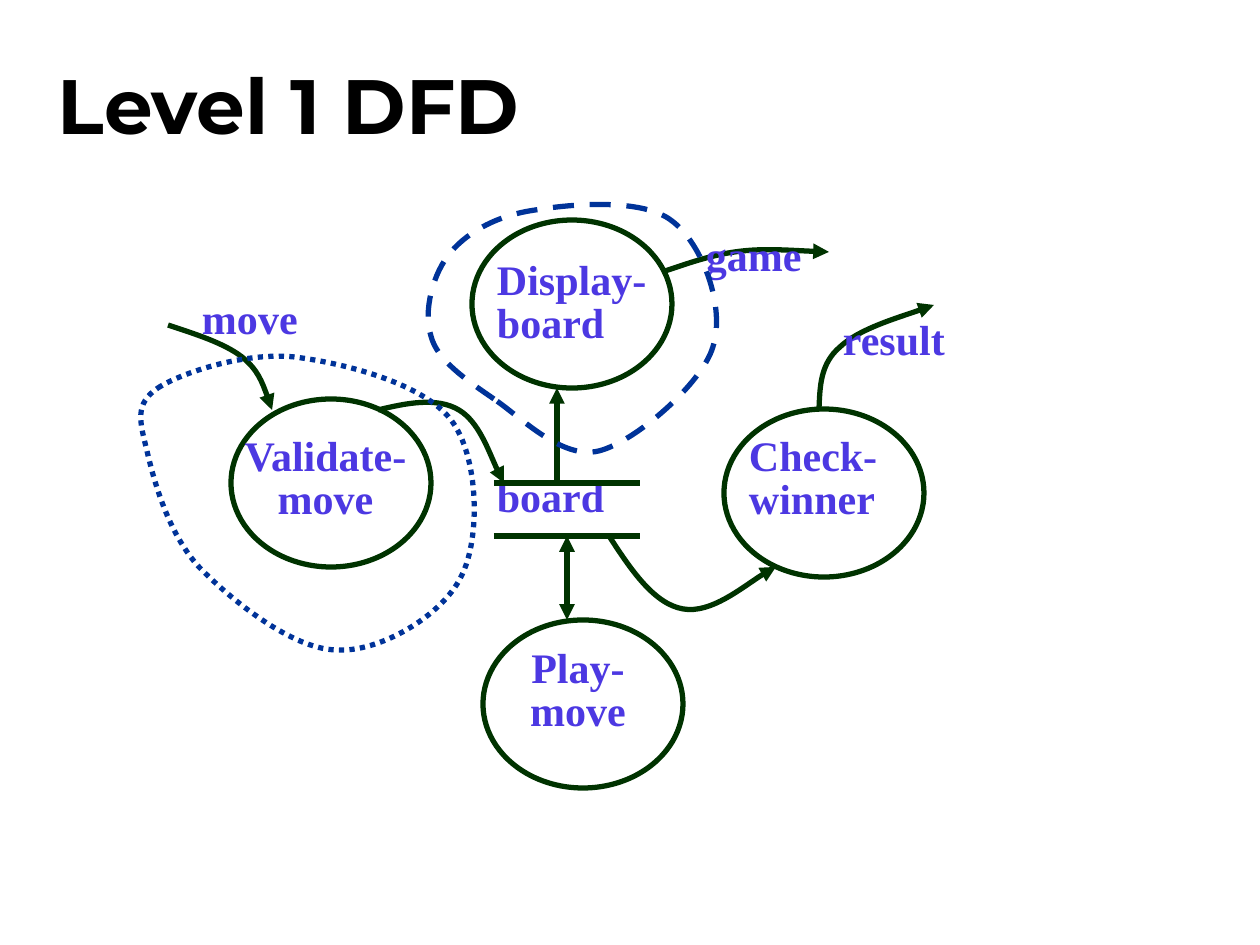
import lxml.etree
import pptx
import pptx.dml.color
import pptx.enum.dml
import pptx.enum.shapes
import pptx.enum.text
import pptx.oxml.ns
import pptx.util

EMU_PER_PX = 914400 / 126
COLORS = {"title": "000000", "flow": "003300", "label": "4C38E2", "boundary": "003399"}
LEFT = pptx.enum.text.PP_ALIGN.LEFT
CENTER = pptx.enum.text.PP_ALIGN.CENTER
DASHES = pptx.enum.dml.MSO_LINE

PROCESS_SIZE = (200, 168)
PROCESS_CORNERS = [(472, 220), (483, 620), (231, 399), (724, 409)]

STORE_LEFT, STORE_RIGHT = 494, 640
STORE_TOP, STORE_BOTTOM = 483, 536

LABELS = [
    ("board", (494, 472, 136, 63), LEFT),
    ("Display-board", (494, 255, 168, 113), LEFT),
    ("Check-winner", (746, 431, 168, 113), LEFT),
    ("Validate-move", (231, 431, 189, 113), CENTER),
    ("Play-move", (494, 643, 168, 113), CENTER),
    ("move", (199, 294, 146, 63), LEFT),
    ("result", (840, 315, 146, 63), LEFT),
    ("game", (703, 231, 189, 63), LEFT),
]

# Each curve is a start point, then two control points and an end point per segment.
FLOWS = [
    [(609, 536), (631, 570), (654, 604), (683, 609), (711, 614), (761, 573), (776, 567)],
    [(378, 410), (407, 403), (437, 397), (459, 410), (479, 422), (496, 470), (504, 483)],
    [(168, 325), (195, 334), (224, 343), (242, 357), (258, 370), (266, 391), (272, 410)],
    [(819, 410), (820, 387), (820, 364), (840, 347), (859, 329), (919, 311), (934, 305)],
    [(662, 272), (684, 265), (707, 256), (735, 252), (762, 248), (796, 251), (829, 252)],
]
INPUT_BOUNDARY = [
    (158, 388), (181, 373), (244, 352), (294, 357), (343, 363), (423, 383), (451, 420),
    (479, 456), (481, 539), (461, 577), (442, 616), (379, 653), (336, 650),
    (292, 649), (231, 600), (199, 567), (168, 533), (154, 481), (147, 451),
    (140, 422), (134, 404), (158, 388),
]
OUTPUT_BOUNDARY = [
    (494, 399), (465, 379), (437, 360), (431, 336), (423, 311), (433, 273), (451, 252),
    (469, 231), (499, 215), (536, 210), (572, 204), (643, 198), (672, 221),
    (702, 243), (726, 307), (713, 347), (702, 384), (635, 442), (599, 451),
    (562, 460), (522, 418), (494, 399),
]


def px(length):
    return pptx.util.Emu(round(length * EMU_PER_PX))


def rgb(name):
    return pptx.dml.color.RGBColor.from_string(COLORS[name])


def add_child(parent, tag, **attributes):
    return lxml.etree.SubElement(parent, pptx.oxml.ns.qn(tag), attributes)


def style_line(shape, color="flow", dash=None, ends=()):
    shape.line.color.rgb = rgb(color)
    shape.line.width = pptx.util.Pt(3)
    if dash is not None:
        shape.line.dash_style = dash
    for end in ends:
        add_child(shape.get_or_add_ln(), end, type="triangle")


def format_text(shape, text, size, font, color, space, align=LEFT):
    frame = shape.text_frame
    frame.text = text
    frame.word_wrap = True
    frame.margin_left = frame.margin_right = px(3)
    frame.margin_top = frame.margin_bottom = px(6)
    para = frame.paragraphs[0]
    para.alignment = align
    para.line_spacing = 0.85
    para.space_before = pptx.util.Pt(space)
    span = para.runs[0]
    span.font.name = font
    span.font.size = pptx.util.Pt(size)
    span.font.bold = True
    span.font.color.rgb = rgb(color)


def add_title(page):
    title = page.shapes.title
    title.left, title.top, title.width, title.height = map(px, (55, 32, 1071, 158))
    format_text(title, "Level 1 DFD", 44, "Montserrat", "title", 10)
    title.text_frame.vertical_anchor = pptx.enum.text.MSO_ANCHOR.MIDDLE


def add_process(page, corner):
    oval = pptx.enum.shapes.MSO_SHAPE.OVAL
    process = page.shapes.add_shape(oval, *map(px, corner + PROCESS_SIZE))
    process.shadow.inherit = False
    process.fill.background()
    style_line(process)


def add_label(page, text, bounds, align):
    box = page.shapes.add_textbox(*map(px, bounds))
    format_text(box, text, 24, "Times New Roman", "label", 13.8, align)


def add_line(page, start, finish, ends=()):
    straight = pptx.enum.shapes.MSO_CONNECTOR.STRAIGHT
    line = page.shapes.add_connector(straight, *map(px, start + finish))
    style_line(line, ends=ends)
    add_child(line.element.spPr, "a:effectLst")


def add_curve(page, points, **line_style):
    """Build the control polygon, then merge every three segments into one Bezier."""
    builder = page.shapes.build_freeform(*points[0], scale=EMU_PER_PX)
    builder.add_line_segments(points[1:], close=False)
    curve = builder.convert_to_shape()
    segments = curve.element.xpath(".//a:lnTo")
    for index in range(0, len(segments), 3):
        bezier = lxml.etree.Element(pptx.oxml.ns.qn("a:cubicBezTo"))
        segments[index].addprevious(bezier)
        for segment in segments[index:index + 3]:
            bezier.append(segment[0])
            segment.getparent().remove(segment)
    curve.shadow.inherit = False
    curve.fill.background()
    style_line(curve, **line_style)


def main():
    deck = pptx.Presentation()
    deck.slide_width, deck.slide_height = px(1260), px(945)
    page = deck.slides.add_slide(deck.slide_layouts[5])
    add_title(page)
    for corner in PROCESS_CORNERS:
        add_process(page, corner)
    add_label(page, *LABELS[0])
    for y in (STORE_BOTTOM, STORE_TOP):
        add_line(page, (STORE_LEFT, y), (STORE_RIGHT, y))
    add_line(page, (557, STORE_TOP), (557, 388), ["a:tailEnd"])
    add_line(page, (567, STORE_BOTTOM), (567, 620), ["a:headEnd", "a:tailEnd"])
    for points in FLOWS:
        add_curve(page, points, ends=["a:tailEnd"])
    for label in LABELS[1:]:
        add_label(page, *label)
    add_curve(page, INPUT_BOUNDARY, color="boundary", dash=DASHES.ROUND_DOT)
    add_curve(page, OUTPUT_BOUNDARY, color="boundary", dash=DASHES.DASH)
    deck.save("out.pptx")


if __name__ == "__main__":
    main()
